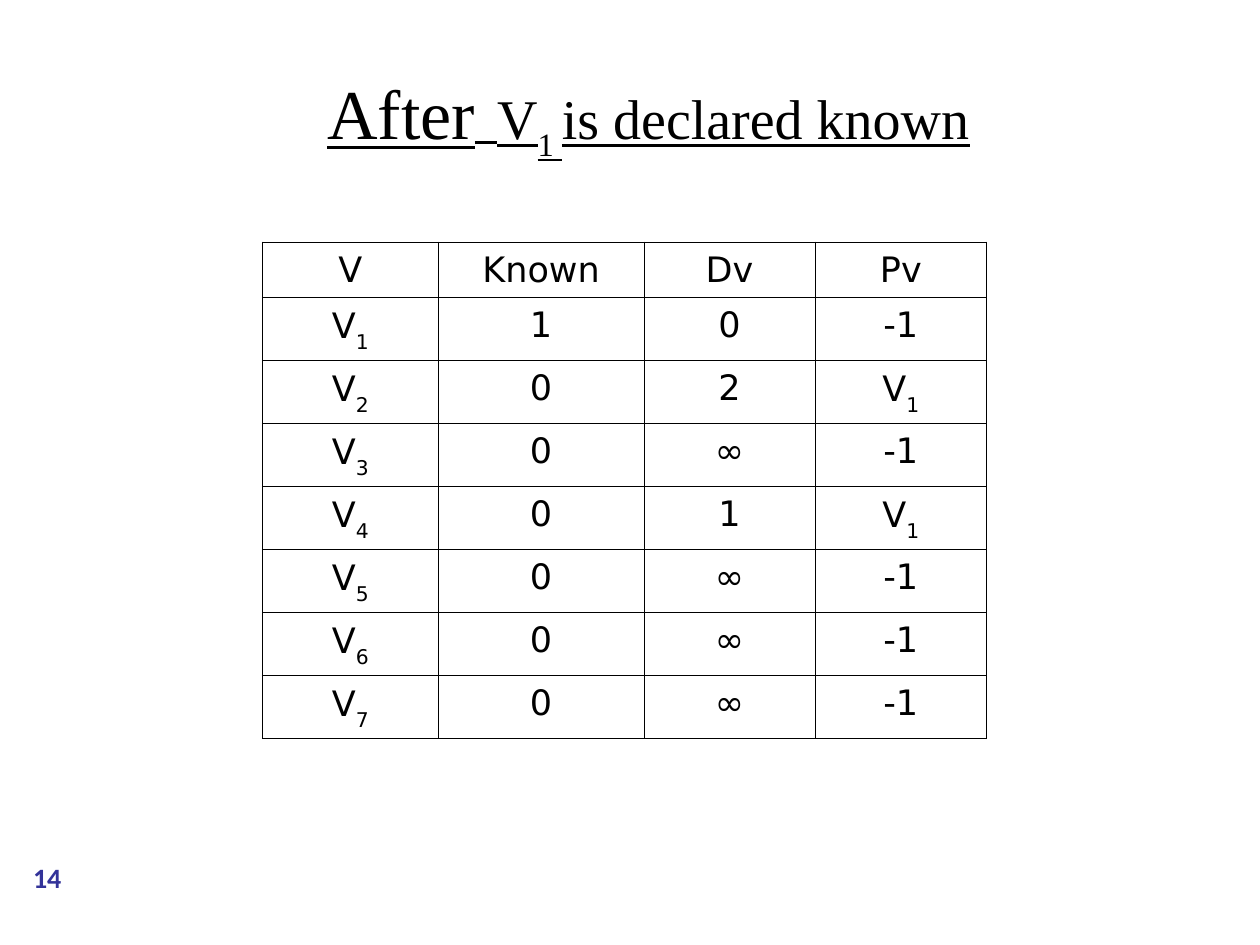
"""Build the slide that shows the shortest-path table once V1 is known."""
from lxml.etree import SubElement
from pptx import Presentation
from pptx.dml.color import RGBColor
from pptx.enum.shapes import MSO_SHAPE
from pptx.enum.text import MSO_ANCHOR, PP_ALIGN
from pptx.oxml.ns import qn
from pptx.util import Inches, Pt

WIDE, HIGH = 10, 7.5
COLORS = {"ink": "000000", "paper": "FFFFFF", "page": "333399"}
SERIF, SANS = "Times New Roman", "DejaVu Sans"
PAGE = "14"
TITLE = [
    ("After", dict(size=40, face=SERIF)),
    (" ", dict(size=40, face=SANS)),
    ("V", dict(size=32, face=SERIF)),
    ("1 ", dict(size=32, face=SERIF, base=-30)),
    ("is declared known", dict(size=32, face=SERIF)),
]
ROWS = [
    ("V", "Known", "Dv", "Pv"),
    ("V_1", "1", "0", "-1"),
    ("V_2", "0", "2", "V_1"),
    ("V_3", "0", "∞", "-1"),
    ("V_4", "0", "1", "V_1"),
    ("V_5", "0", "∞", "-1"),
    ("V_6", "0", "∞", "-1"),
    ("V_7", "0", "∞", "-1"),
]
COLS = (1.4, 1.63, 1.36, 1.36)
HEAD, STEP = 0.44, 0.5


def color(name):
    return RGBColor.from_string(COLORS[name])


def write(para, text, size=20, face=SANS, ink="ink", bold=False, line=False, base=0):
    run = para.add_run()
    run.text = text
    font = run.font
    font.size, font.name, font.bold, font.underline = Pt(size), face, bold, line
    font.color.rgb = color(ink)
    props = run._r.get_or_add_rPr()
    for tag in ("a:ea", "a:cs"):
        SubElement(props, qn(tag), typeface=face)
    if base:
        props.set("baseline", str(base * 1000))


def inset(item, left, top, right, low):
    item.margin_left, item.margin_top = Inches(left), Inches(top)
    item.margin_right, item.margin_bottom = Inches(right), Inches(low)


def border(cell):
    props = cell._tc.get_or_add_tcPr()
    for side in ("lnL", "lnR", "lnT", "lnB"):
        edge = SubElement(props, qn(f"a:{side}"), w=str(Pt(0.23)))
        fill = SubElement(edge, qn("a:solidFill"))
        SubElement(fill, qn("a:srgbClr"), val=COLORS["ink"])


def add_page(slide):
    oval = slide.shapes.add_shape(
        MSO_SHAPE.OVAL, 0, Inches(6.8), Inches(0.75), Inches(0.33))
    oval.shadow.inherit = False
    oval.fill.solid()
    oval.fill.fore_color.rgb = oval.line.color.rgb = color("paper")
    oval.line.width = Pt(2)
    frame = oval.text_frame
    inset(frame, 0, 0, 0, 0)
    frame.vertical_anchor = MSO_ANCHOR.MIDDLE
    para = frame.paragraphs[0]
    para.alignment = PP_ALIGN.CENTER
    write(para, PAGE, size=16, face="Calibri", ink="page", bold=True)


def add_title(slide):
    box = slide.shapes.add_textbox(
        Inches(0.5), Inches(0.21), Inches(WIDE - 1), Inches(1.43))
    frame = box.text_frame
    frame.word_wrap = True
    frame.vertical_anchor = MSO_ANCHOR.MIDDLE
    inset(frame, 0.1, 0.05, 0.1, 0.05)
    para = frame.paragraphs[0]
    props = para._p.get_or_add_pPr()
    props.set("marL", str(Inches(2.25)))
    props.set("indent", str(Inches(-0.25)))
    for text, style in TITLE:
        write(para, text, line=True, **style)


def add_grid(slide):
    tall = HEAD + STEP * (len(ROWS) - 1)
    table = slide.shapes.add_table(
        len(ROWS), len(COLS), Inches(2.08), Inches(1.92),
        Inches(sum(COLS)), Inches(tall)).table
    table.first_row = table.horz_banding = False
    for col, width in zip(table.columns, COLS):
        col.width = Inches(width)
    for i, row in enumerate(ROWS):
        table.rows[i].height = Inches(STEP if i else HEAD)
        for j, text in enumerate(row):
            cell = table.cell(i, j)
            inset(cell, 0.1, 0.07, 0.1, 0.05)
            border(cell)
            cell.fill.background()
            para = cell.text_frame.paragraphs[0]
            para.alignment = PP_ALIGN.CENTER
            para.line_spacing = 0.96
            main, _, sub = text.partition("_")
            write(para, main)
            if sub:
                write(para, sub, base=-30)


def main():
    deck = Presentation()
    deck.slide_width, deck.slide_height = Inches(WIDE), Inches(HIGH)
    slide = deck.slides.add_slide(deck.slide_layouts[6])
    add_page(slide)
    add_title(slide)
    add_grid(slide)
    deck.save("out.pptx")


if __name__ == "__main__":
    main()
